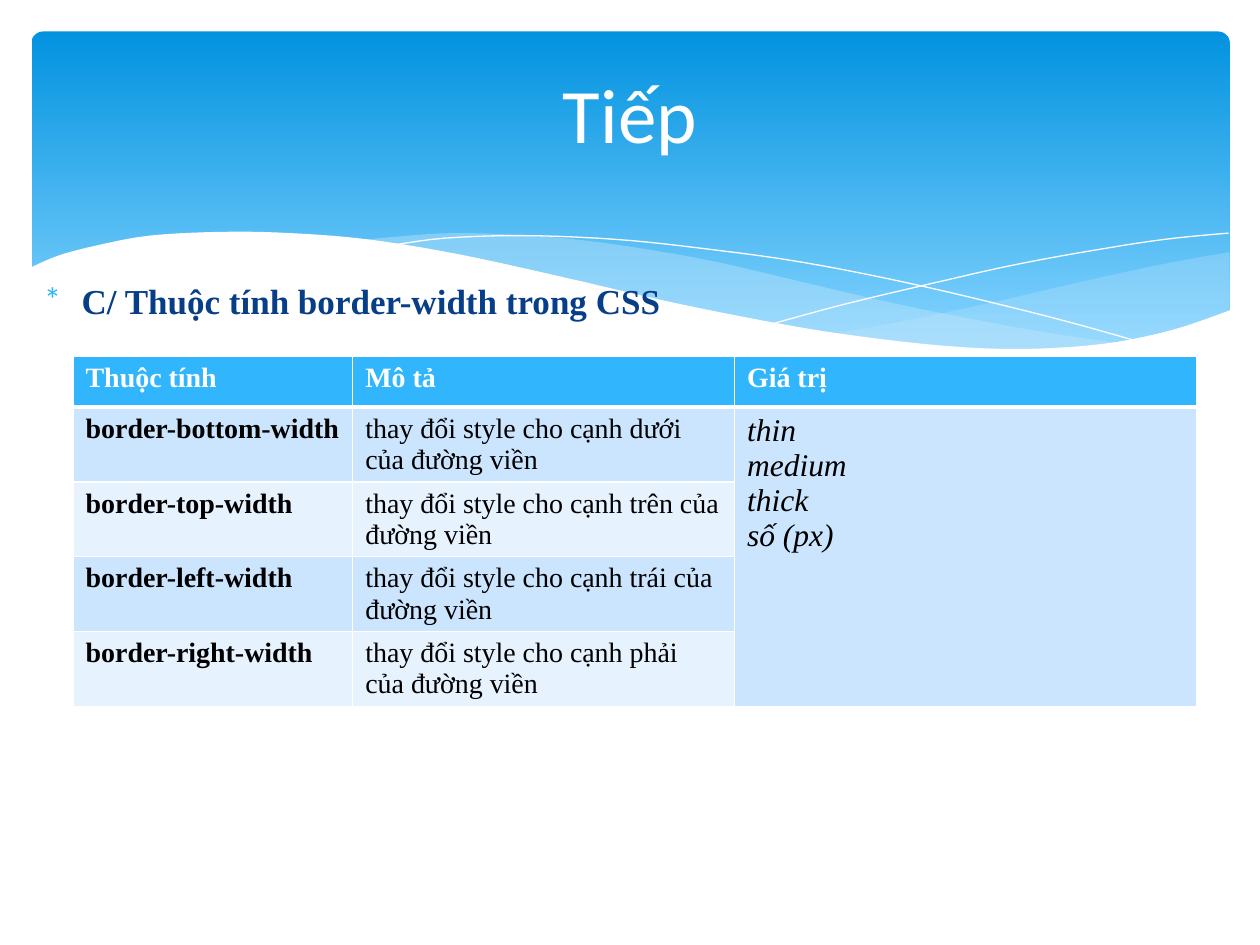
from lxml import etree
from pptx import Presentation, util as u
from pptx.dml.color import RGBColor
from pptx.enum import shapes, text
from pptx.oxml import ns

W, H = 10, 7.5
THEME = dict(
    title='Calibri', body='Times New Roman', white='FFFFFF', black='000000',
    accent='31B6FD', navy='073E87', bands=('CCE5FE', 'E7F2FF'),
    sky=('0293E0', '81D2FE'), mist='C6E7FC',
    title_size=44, head_size=20, cell_size=16, value_size=18)

TITLE = 'Tiếp'
HEADING = 'C/ Thuộc tính border-width trong CSS'
HEADER = ('Thuộc tính', 'Mô tả', 'Giá trị')
SIDES = (('bottom', 'dưới'), ('top', 'trên'), ('left', 'trái'), ('right', 'phải'))
VALUES = 'thin\nmedium\nthick\nsố (px)'
COLS, HEAD_ROW, BODY_ROW = (2.22, 3.03, 3.67), 0.4, 0.59

# Each wave is a list of smooth edges given by their knots, in inches.
WAVES = [
    dict(fill=THEME['mist'], alpha=29, edges=[
        [(9.76, 2), (9.21, 2.1), (8.61, 2.23), (7.79, 2.42), (7.06, 2.57), (6.61, 2.65)],
        [(6.61, 2.65), (7.05, 2.71), (7.57, 2.76), (8.03, 2.78), (8.54, 2.76),
         (8.97, 2.7), (9.35, 2.62), (9.76, 2.47)]]),
    dict(fill=THEME['mist'], alpha=40, edges=[
        [(8.93, 2.73), (8.37, 2.65), (7.75, 2.54), (7.06, 2.4), (6.29, 2.22), (5.69, 2.08),
         (5.14, 1.98), (4.65, 1.91), (4.2, 1.87), (3.61, 1.85), (3.13, 1.88), (2.86, 1.91)],
        [(2.86, 1.91), (3.42, 1.99), (4.04, 2.11), (4.49, 2.22), (5.3, 2.4), (6.01, 2.55),
         (6.65, 2.66), (7.22, 2.74), (7.73, 2.77), (8.18, 2.78), (8.57, 2.77), (8.93, 2.73)]]),
    dict(line=THEME['white'], edges=[
        [(3.09, 1.95), (3.53, 1.89), (4.16, 1.87), (4.89, 1.9), (5.56, 1.97), (6.36, 2.08),
         (7.27, 2.26), (8.31, 2.51), (9.07, 2.72)]]),
    dict(line=THEME['white'], edges=[
        [(6.13, 2.57), (6.72, 2.41), (7.48, 2.23), (8.06, 2.1), (8.66, 1.99),
         (9.24, 1.9), (9.75, 1.85)]]),
    dict(fill=THEME['white'], edges=[
        [(9.77, 2.46), (9.3, 2.62), (8.75, 2.73), (8.09, 2.77), (7.44, 2.74), (6.68, 2.65),
         (6.03, 2.54), (5.29, 2.39), (4.47, 2.2), (3.65, 2.02), (2.92, 1.9), (2.3, 1.85),
         (1.77, 1.84), (1.19, 1.87), (0.76, 1.95), (0.46, 2.03), (0.23, 2.13)],
        [(0.23, 3.29), (9.77, 3.29)]]),
]


def rgb(value):
    """Return a colour from its hex text."""
    return RGBColor.from_string(value)


def put(parent, tag, index=None, **attrs):
    """Add a DrawingML element to a parent."""
    el = etree.Element(ns.qn('a:' + tag), attrs)
    parent.insert(len(parent) if index is None else index, el)
    return el


def smooth(knots, steps=5):
    """Sample a Catmull-Rom curve through the knots."""
    ext = [knots[0], *knots, knots[-1]]
    pts = [knots[0]]
    for a, b, c, d in zip(ext, ext[1:], ext[2:], ext[3:]):
        for t in (k / steps for k in range(1, steps + 1)):
            pts.append(tuple(
                (2 * q + (r - p) * t + (2 * p - 5 * q + 4 * r - v) * t ** 2
                 + (3 * q - p - 3 * r + v) * t ** 3) / 2
                for p, q, r, v in zip(a, b, c, d)))
    return pts


def add_wave(s, edges, fill=None, line=None, alpha=100):
    """Draw one filled wave or one open curve."""
    pts = [(u.Inches(x), u.Inches(y)) for e in edges for x, y in smooth(e)]
    fb = s.shapes.build_freeform(*pts[0], scale=1)
    fb.add_line_segments(pts[1:], close=bool(fill))
    sp = fb.convert_to_shape()
    sp.shadow.inherit = False
    if line:
        sp.fill.background()
        sp.line.color.rgb, sp.line.width = rgb(line), u.Pt(0.75)
        return
    sp.line.fill.background()
    sp.fill.solid()
    sp.fill.fore_color.rgb = rgb(fill)
    if alpha < 100:
        clr = sp._element.spPr.find('.//' + ns.qn('a:srgbClr'))
        put(clr, 'alpha', val=str(alpha * 1000))


def write(tf, content, color, size, name=THEME['body'], **fmt):
    """Fill a text frame, one paragraph a line, in one format."""
    tf.text = content
    tf.word_wrap = True
    fmt.update(size=u.Pt(size), name=name)
    for p in tf.paragraphs:
        for r in p.runs:
            r.font.color.rgb = rgb(color)
            for key, value in fmt.items():
                setattr(r.font, key, value)


def add_banner(s):
    """Draw the gradient panel and its waves."""
    sp = s.shapes.add_shape(shapes.MSO_SHAPE.ROUNDED_RECTANGLE, *map(u.Inches, (0.25, 0.25, 9.51, 2.7)))
    sp.adjustments[0] = 0.034
    sp.shadow.inherit = False
    sp.line.fill.background()
    sp.fill.gradient()
    sp.fill.gradient_angle = 270
    for stop, color, pos in zip(sp.fill.gradient_stops, THEME['sky'], (0, 0.9)):
        stop.color.rgb, stop.position = rgb(color), pos
    for wave in WAVES:
        add_wave(s, **wave)


def add_heading(s):
    """Add the bulleted heading."""
    tf = s.shapes.add_textbox(*map(u.Inches, (0.25, 2.17, 9.5, 4.53))).text_frame
    write(tf, HEADING, THEME['navy'], THEME['head_size'], bold=True)
    pPr = tf.paragraphs[0]._p.get_or_add_pPr()
    indent = u.Inches(0.3)
    pPr.set('marL', str(indent))
    pPr.set('indent', str(-indent))
    put(put(pPr, 'buClr'), 'srgbClr', val=THEME['accent'])
    put(pPr, 'buFont', typeface=THEME['title'])
    put(pPr, 'buChar', char='*')


def add_title(s):
    """Place the title in front of the banner."""
    title = s.shapes.title
    box = dict(left=0.05 * W, top=0.37, width=0.9 * W, height=0.14 * H)
    for key, value in box.items():
        setattr(title, key, u.Inches(value))
    tf = title.text_frame
    write(tf, TITLE, THEME['white'], THEME['title_size'], THEME['title'])
    tf.vertical_anchor = text.MSO_ANCHOR.MIDDLE
    tf.paragraphs[0].alignment = text.PP_ALIGN.CENTER
    s.shapes._spTree.append(title._element)


def style_cell(cell, fill, bottom):
    """Set the fill and the white borders of a cell."""
    cell.fill.solid()
    cell.fill.fore_color.rgb = rgb(fill)
    tcPr = cell._tc.get_or_add_tcPr()
    for i, (side, width) in enumerate(zip('LRTB', (1, 1, 1, bottom))):
        ln = put(tcPr, 'ln' + side, i, w=str(u.Pt(width)))
        put(put(ln, 'solidFill'), 'srgbClr', val=THEME['white'])


def add_table(s):
    """Add the table of properties, with one merged value cell."""
    rows = [HEADER] + [
        (f'border-{side}-width', f'thay đổi style cho cạnh {word} của đường viền', '')
        for side, word in SIDES]
    heights = [HEAD_ROW] + [BODY_ROW] * len(SIDES)
    size = sum(COLS), sum(heights)
    tbl = s.shapes.add_table(len(rows), len(COLS), *map(u.Inches, (0.58, 2.83, *size))).table
    for col, width in zip(tbl.columns, COLS):
        col.width = u.Inches(width)
    for i, (row, height) in enumerate(zip(rows, heights)):
        tbl.rows[i].height = u.Inches(height)
        for j, content in enumerate(row):
            cell, head = tbl.cell(i, j), i == 0
            band = 0 if j == 2 else (i - 1) % 2
            style_cell(cell, THEME['accent'] if head else THEME['bands'][band], 3 if head else 1)
            write(cell.text_frame, content, THEME['white' if head else 'black'],
                  THEME['cell_size'], bold=head or j == 0)
    values = tbl.cell(1, 2)
    values.merge(tbl.cell(len(SIDES), 2))
    write(values.text_frame, VALUES, THEME['black'], THEME['value_size'], italic=True, bold=False)


prs = Presentation()
prs.slide_width, prs.slide_height = u.Inches(W), u.Inches(H)
s = prs.slides.add_slide(prs.slide_layouts[5])
for build in (add_banner, add_heading, add_title, add_table):
    build(s)
prs.save("out.pptx")
